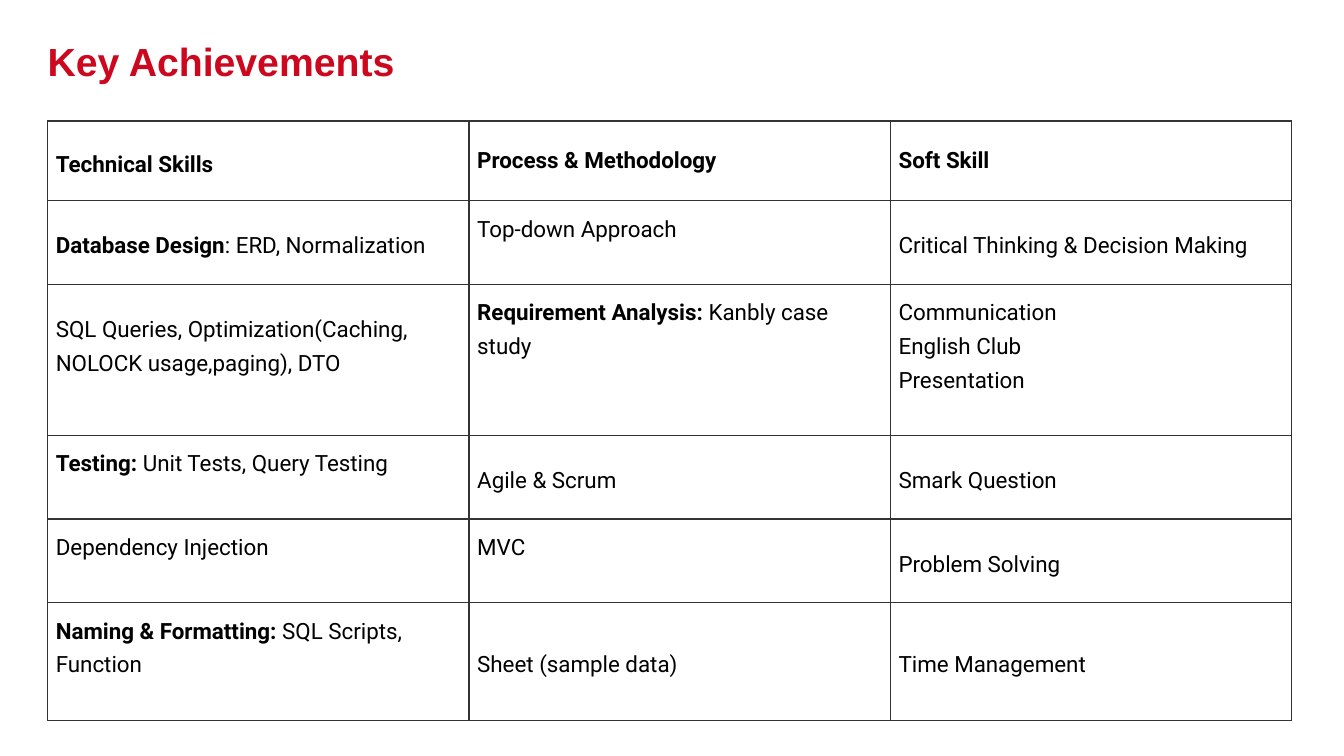
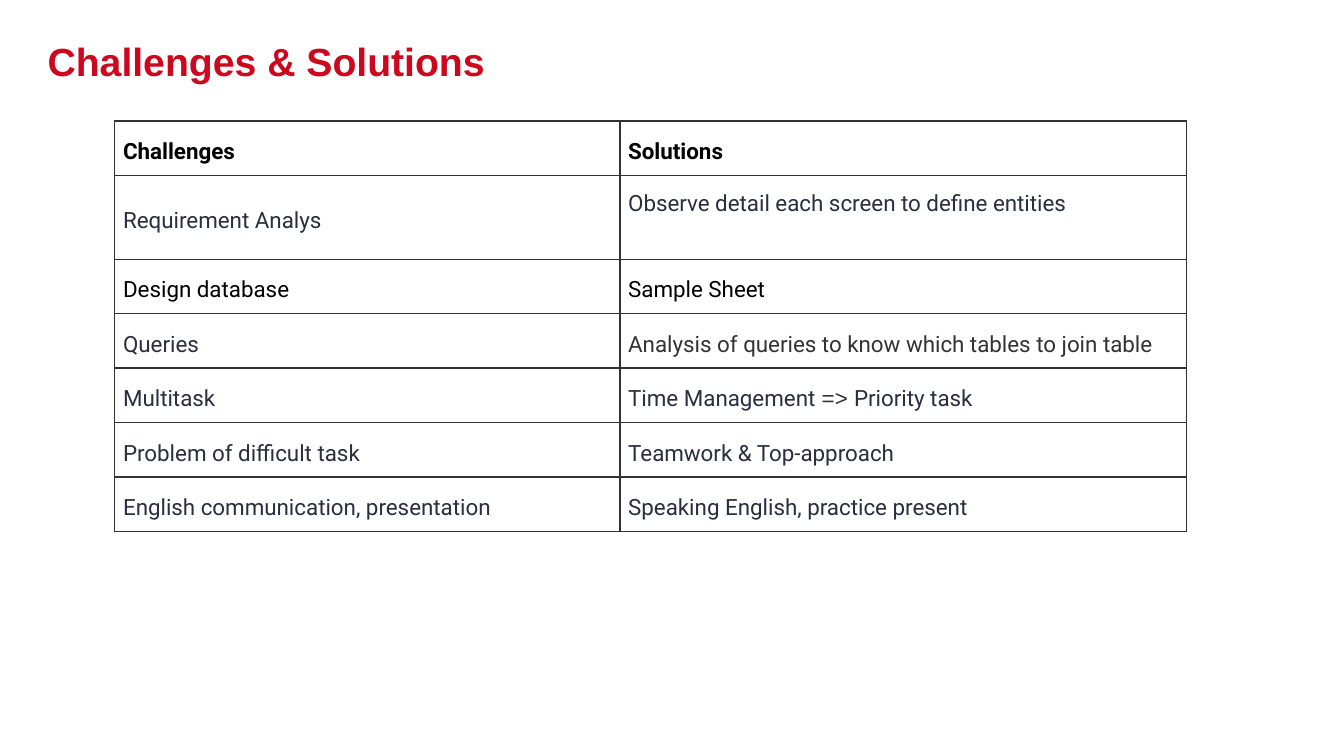
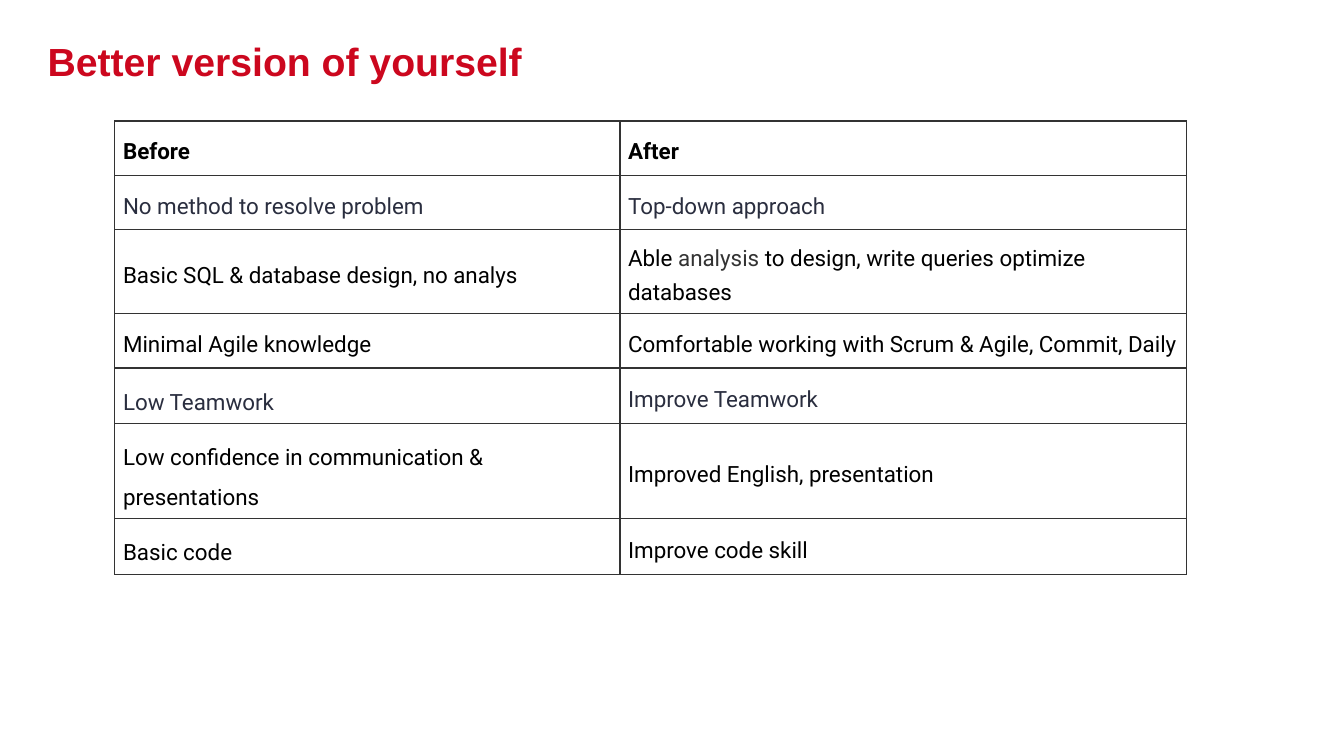
import dataclasses

import lxml.etree
import pptx
import pptx.dml.color
import pptx.enum.text
import pptx.oxml
import pptx.oxml.ns
import pptx.util

Pt = pptx.util.Pt


@dataclasses.dataclass(frozen=True)
class Theme:
    red: str = "CC071E"
    black: str = "000000"
    navy: str = "2A2E3F"
    grey: str = "333333"
    white: str = "FFFFFF"
    title_font: str = "Arial"
    body_font: str = "Roboto"
    title_size: int = 28
    body_size: int = 16
    line_pitch: int = 24
    wide_pitch: int = 28
    cell_margin: float = 5.9
    border: int = 1


@dataclasses.dataclass
class Run:
    text: str
    bold: bool | None = None
    color: str | None = None
    font: str | None = None


@dataclasses.dataclass
class Cell:
    """One table cell: paragraphs of runs, with lines left free below them."""
    paragraphs: list
    color: str = "000000"
    pitch: int | None = 24
    lines_below: int = 0


def cell(*paragraphs, **style):
    """Make a cell; a paragraph is a string or a list of runs."""
    return Cell([[Run(p)] if isinstance(p, str) else p for p in paragraphs], **style)


def set_font(font, bold=None, color=None, name=None, size=None):
    """Set only the font properties that are given."""
    if bold is not None:
        font.bold = bold
    if color:
        font.color.rgb = pptx.dml.color.RGBColor.from_string(color)
    if name:
        font.name = name
    if size:
        font.size = Pt(size)


theme = Theme()
navy = {"color": theme.navy}
wide = {"pitch": theme.wide_pitch}
one_line = 38.9
two_lines = 59.8

two_columns = {"left": 82, "columns": [360.8, 404.6]}
slides = [
    {
        "title": "Key Achievements",
        "left": 34,
        "columns": [301, 301, 286.5],
        "heights": [56.9, two_lines, 107.8, two_lines, two_lines, 83.8],
        "rows": [
            [cell("Technical Skills"),
             cell("Process & Methodology", pitch=None),
             cell("Soft Skill", pitch=None)],
            [cell([Run("Database Design", bold=True), Run(": ERD, Normalization")]),
             cell("Top-down Approach", lines_below=1),
             cell("Critical Thinking & Decision Making")],
            [cell("SQL Queries, Optimization(Caching, NOLOCK usage,paging), DTO",
                  lines_below=1),
             cell([Run("Requirement Analysis:", bold=True), Run(" Kanbly case study")],
                  lines_below=2),
             cell("Communication", "English Club", "Presentation", lines_below=1)],
            [cell([Run("Testing:", bold=True), Run(" Unit Tests, Query Testing")],
                  lines_below=1),
             cell("Agile & Scrum"),
             cell("Smark Question")],
            [cell("Dependency Injection", lines_below=1),
             cell("MVC", lines_below=1),
             cell("Problem Solving")],
            [cell([Run("Naming & Formatting:", bold=True), Run(" SQL Scripts, Function")],
                  lines_below=1),
             cell("Sheet (sample data)"),
             cell("Time Management")],
        ],
    },
    {
        "title": "Challenges & Solutions",
        **two_columns,
        "heights": [one_line, two_lines] + [one_line] * 5,
        "rows": [
            [cell("Challenges"), cell("Solutions")],
            [cell("Requirement Analys", **navy),
             cell("Observe detail each screen to define entities", lines_below=1, **navy)],
            [cell("Design database"), cell("Sample Sheet")],
            [cell("Queries", **navy),
             cell("Analysis of queries to know which tables to join table",
                  color=theme.grey)],
            [cell("Multitask", **navy),
             cell([Run("Time Management"),
                   Run(" => ", color=theme.grey, font=theme.title_font),
                   Run("Priority task")], **navy)],
            [cell("Problem of difficult task", **navy),
             cell("Teamwork & Top-approach", **navy)],
            [cell("English communication, presentation", **navy),
             cell("Speaking English, practice present", **navy)],
        ],
    },
    {
        "title": "Better version of yourself",
        **two_columns,
        "heights": [one_line, one_line, two_lines, one_line, 39.8, 67.8, 39.8],
        "rows": [
            [cell("Before"), cell("After")],
            [cell("No method to resolve problem", **navy),
             cell("Top-down approach", **navy)],
            [cell("Basic SQL & database design, no analys"),
             cell([Run("Able "), Run("analysis", color=theme.grey),
                   Run(" to design, write queries optimize databases")])],
            [cell("Minimal Agile knowledge"),
             cell("Comfortable working with Scrum & Agile, Commit, Daily")],
            [cell("Low Teamwork", **navy, **wide), cell("Improve Teamwork", **navy)],
            [cell("Low confidence in communication & presentations", **wide),
             cell("Improved English, presentation")],
            [cell("Basic code", **wide), cell("Improve code skill")],
        ],
    },
]

prs = pptx.Presentation()
prs.slide_width, prs.slide_height = Pt(960), Pt(540)
middle = pptx.enum.text.MSO_ANCHOR.MIDDLE
border_xml = (
    '<a:{side} {ns} w="{width}"><a:solidFill><a:srgbClr val="{color}"/>'
    "</a:solidFill></a:{side}>"
)

for content in slides:
    s = prs.slides.add_slide(prs.slide_layouts[5])

    title = s.shapes.title
    title.left, title.top, title.width, title.height = Pt(34), Pt(0), Pt(765), Pt(86.4)
    tf = title.text_frame
    tf.text = content["title"]
    tf.auto_size = pptx.enum.text.MSO_AUTO_SIZE.NONE
    tf.vertical_anchor = middle
    tf.margin_left = tf.margin_top = tf.margin_right = tf.margin_bottom = 0
    p = tf.paragraphs[0]
    p.alignment = pptx.enum.text.PP_ALIGN.LEFT
    set_font(p.font, True, theme.red, theme.title_font, theme.title_size)

    columns, heights = content["columns"], content["heights"]
    table = s.shapes.add_table(
        len(heights), len(columns), Pt(content["left"]), Pt(86.4),
        Pt(sum(columns)), Pt(sum(heights))).table
    table.first_row = table.horz_banding = False
    for column, width in zip(table.columns, columns):
        column.width = Pt(width)
    for row, height in zip(table.rows, heights):
        row.height = Pt(height)

    for i, row in enumerate(content["rows"]):
        for j, entry in enumerate(row):
            tc = table.cell(i, j)
            tc.vertical_anchor = middle
            tc.margin_left = tc.margin_right = tc.margin_top = Pt(theme.cell_margin)
            tc.margin_bottom = Pt(
                theme.cell_margin + entry.lines_below * theme.line_pitch)
            tc.fill.solid()
            tc.fill.fore_color.rgb = pptx.dml.color.RGBColor.from_string(theme.white)
            properties = tc.fill._xPr
            for k, side in enumerate(("lnL", "lnR", "lnT", "lnB")):
                properties.insert(k, pptx.oxml.parse_xml(border_xml.format(
                    side=side, ns=pptx.oxml.ns.nsdecls("a"),
                    width=Pt(theme.border), color=theme.grey)))

            tf = tc.text_frame
            for k, runs in enumerate(entry.paragraphs):
                p = tf.add_paragraph() if k else tf.paragraphs[0]
                if entry.pitch:
                    p.line_spacing = Pt(entry.pitch)
                set_font(p.font, i == 0, entry.color, theme.body_font, theme.body_size)
                for run in runs:
                    r = p.add_run()
                    r.text = run.text
                    set_font(r.font, run.bold, run.color, run.font)

prs.save("out.pptx")
